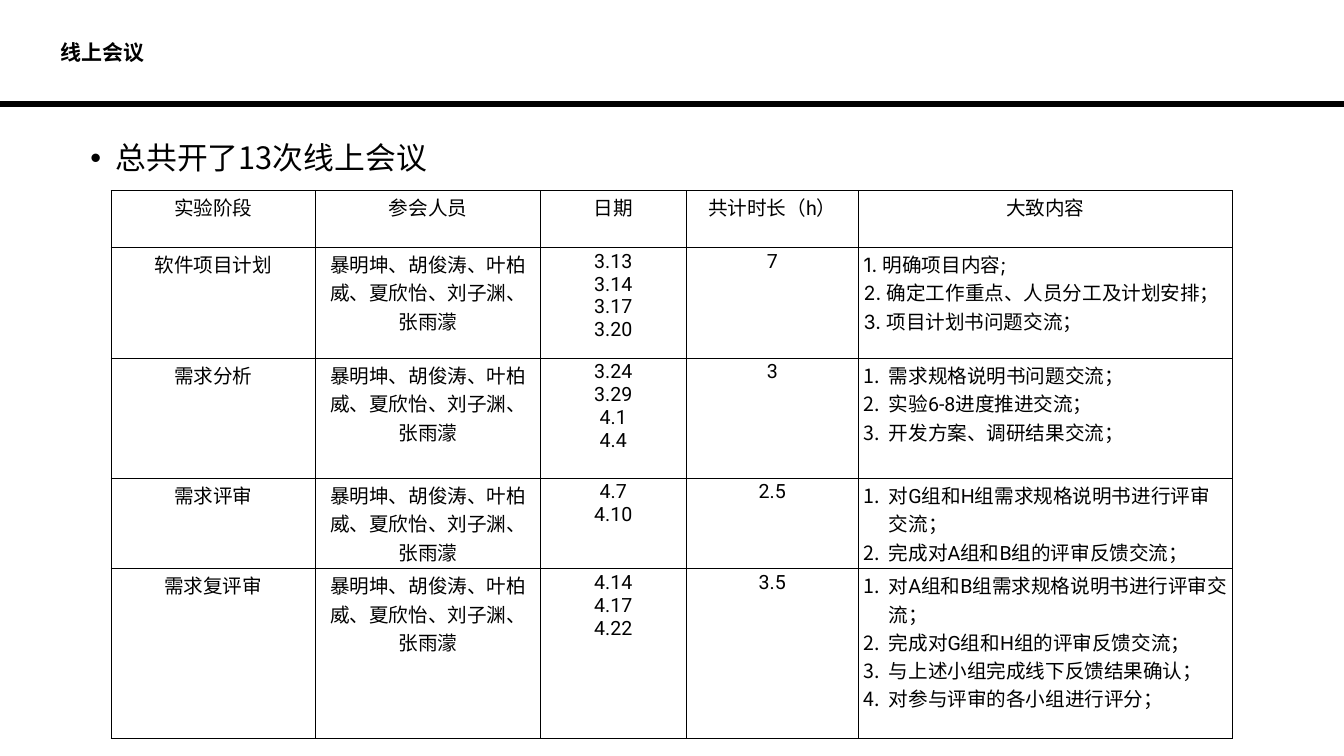
from lxml.etree import SubElement
from pptx import Presentation
from pptx.dml.color import RGBColor
from pptx.enum.shapes import MSO_CONNECTOR as Connector
from pptx.enum.text import MSO_ANCHOR as Anchor, MSO_AUTO_SIZE as AutoSize, PP_ALIGN as Align
from pptx.oxml import parse_xml
from pptx.oxml.ns import nsdecls, qn
from pptx.util import Inches, Pt

INK = "000000"
CJK = "Noto Sans CJK SC"
MEMBERS = "暴明坤、胡俊涛、叶柏威、夏欣怡、刘子渊、张雨濛"
HEADINGS = ["实验阶段", "参会人员", "日期", "共计时长（h）", "大致内容"]
STAGES = [
    ("软件项目计划", "3.13 3.14 3.17 3.20", "7",
     ["1. 明确项目内容;", "2. 确定工作重点、人员分工及计划安排；", "3. 项目计划书问题交流；"]),
    ("需求分析", "3.24 3.29 4.1 4.4", "3",
     ["需求规格说明书问题交流；", "实验6-8进度推进交流；", "开发方案、调研结果交流；"]),
    ("需求评审", "4.7 4.10", "2.5",
     ["对G组和H组需求规格说明书进行评审交流；", "完成对A组和B组的评审反馈交流；"]),
    ("需求复评审", "4.14 4.17 4.22", "3.5",
     ["对A组和B组需求规格说明书进行评审交流；", "完成对G组和H组的评审反馈交流；",
      "与上述小组完成线下反馈结果确认；", "对参与评审的各小组进行评分；"]),
]
COLUMNS = [4.06, 4.47, 2.88, 3.43, 7.41]
ROWS = [1.13, 2.2, 2.38, 1.79, 3.37]


def write(para, text, size, font, bold=False):
    span = para.add_run()
    span.text = text
    for name, value in {"size": Pt(size), "name": font, "bold": bold}.items():
        setattr(span.font, name, value)
    span.font.color.rgb = RGBColor.from_string(INK)
    SubElement(span.font._element, qn("a:ea")).set("typeface", CJK)


def hang(para, tag, **mark):
    props = para._p.get_or_add_pPr()
    props.set("marL", str(Inches(0.5)))
    props.set("indent", str(-Inches(0.5)))
    bullet = SubElement(props, qn(tag))
    for name, value in mark.items():
        bullet.set(name, value)


deck = Presentation()
deck.slide_width, deck.slide_height = Inches(26.67), Inches(15)
wide, high = deck.slide_width, deck.slide_height
page = deck.slides.add_slide(deck.slide_layouts[1])
title, body = page.placeholders[0], page.placeholders[1]

# Title and body: places as shares of the slide
for box, (left, top, width, height), wrap, fit in [
    (title, (0.0416, 0.0453, 0.1252, 0.076), False, AutoSize.SHAPE_TO_FIT_TEXT),
    (body, (0.0634, 0.1827, 0.8624, 0.6347), True, AutoSize.NONE),
]:
    box.left, box.top = int(left * wide), int(top * high)
    box.width, box.height = int(width * wide), int(height * high)
    frame = box.text_frame
    layout = {"word_wrap": wrap, "auto_size": fit, "vertical_anchor": Anchor.TOP}
    layout.update({f"margin_{side}": Inches(0.1) for side in ("left", "top", "right", "bottom")})
    for name, value in layout.items():
        setattr(frame, name, value)

heading = title.text_frame.paragraphs[0]
heading.alignment = Align.LEFT
write(heading, "线上会议", 30, "Roboto", bold=True)

summary = body.text_frame.paragraphs[0]
summary.line_spacing, summary.space_before = 0.9, Pt(20)
hang(summary, "a:buChar", char="•")
write(summary, "总共开了13次线上会议", 44, CJK)

# Rule under the title
rule_y = int(0.1373 * high)
rule = page.shapes.add_connector(Connector.STRAIGHT, 0, rule_y, wide, rule_y)
rule.line.width = Pt(8)
rule.line.color.rgb = RGBColor.from_string(INK)
SubElement(rule._element.spPr, qn("a:effectLst"))

# Table of meetings
table = page.shapes.add_table(len(ROWS), len(COLUMNS), int(0.0825 * wide), int(0.252 * high),
                              Inches(sum(COLUMNS)), Inches(sum(ROWS))).table
table.first_row = table.horz_banding = False
for column, width in zip(table.columns, COLUMNS):
    column.width = Inches(width)
for row, height in zip(table.rows, ROWS):
    row.height = Inches(height)

records = [[[text] for text in HEADINGS]]
for stage, dates, hours, topics in STAGES:
    records.append([[stage], [MEMBERS], dates.split(), [hours], topics])

for r, record in enumerate(records):
    for c, lines in enumerate(record):
        cell = table.cell(r, c)
        topics = r > 0 and c == len(COLUMNS) - 1
        for i, text in enumerate(lines):
            frame = cell.text_frame
            para = frame.add_paragraph() if i else frame.paragraphs[0]
            para.alignment = Align.LEFT if topics else Align.CENTER
            if topics and r > 1:
                hang(para, "a:buAutoNum", type="arabicPeriod")
            write(para, text, 28, "Inter" if topics and r == 1 else "Roboto")
        # Borders come before the fill in the cell's properties
        for side in ("lnL", "lnR", "lnT", "lnB"):
            cell._tc.get_or_add_tcPr().append(parse_xml(
                f'<a:{side} {nsdecls("a")} w="{Pt(1)}"><a:solidFill>'
                f'<a:srgbClr val="{INK}"/></a:solidFill></a:{side}>'))
        cell.fill.background()

deck.save("out.pptx")
